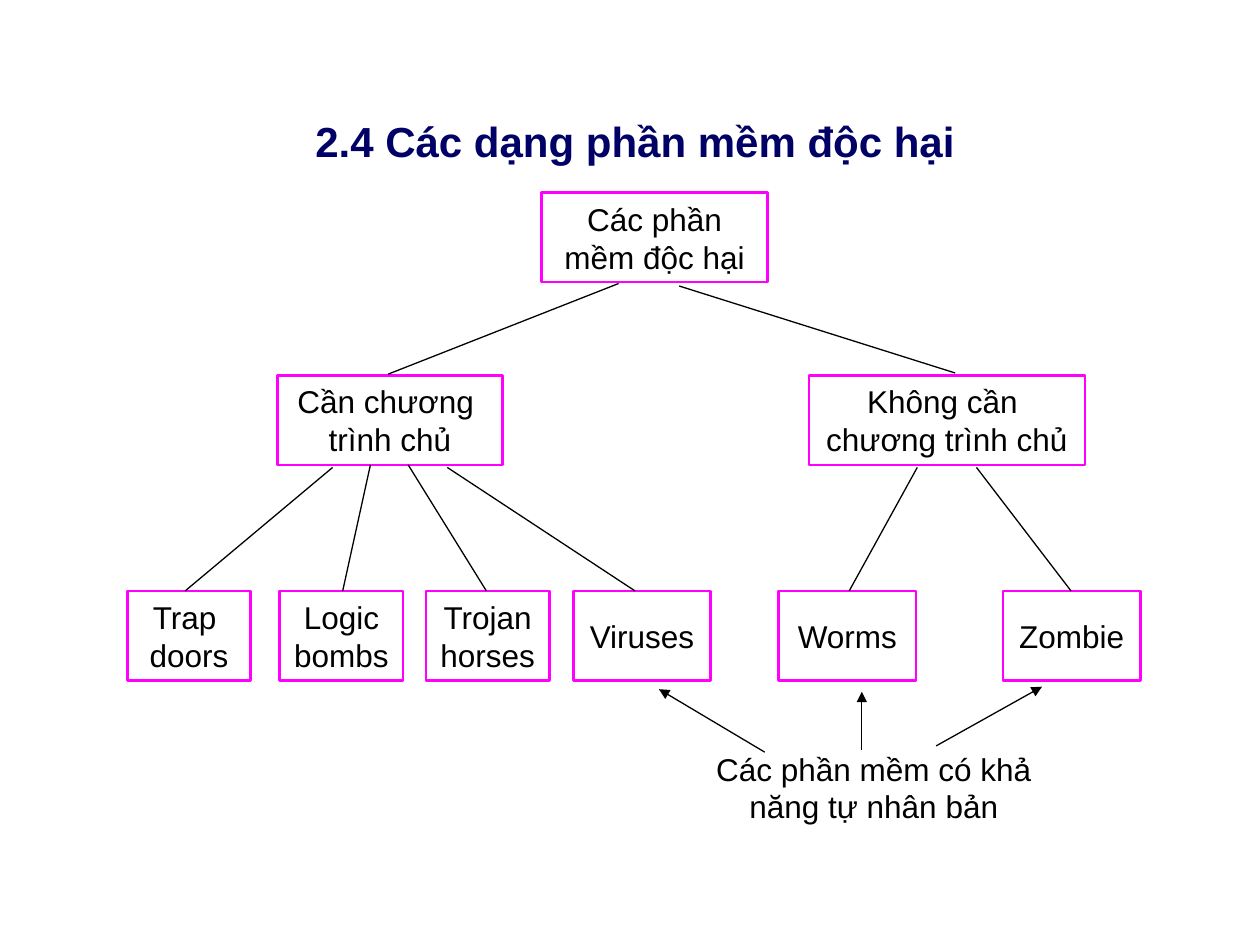
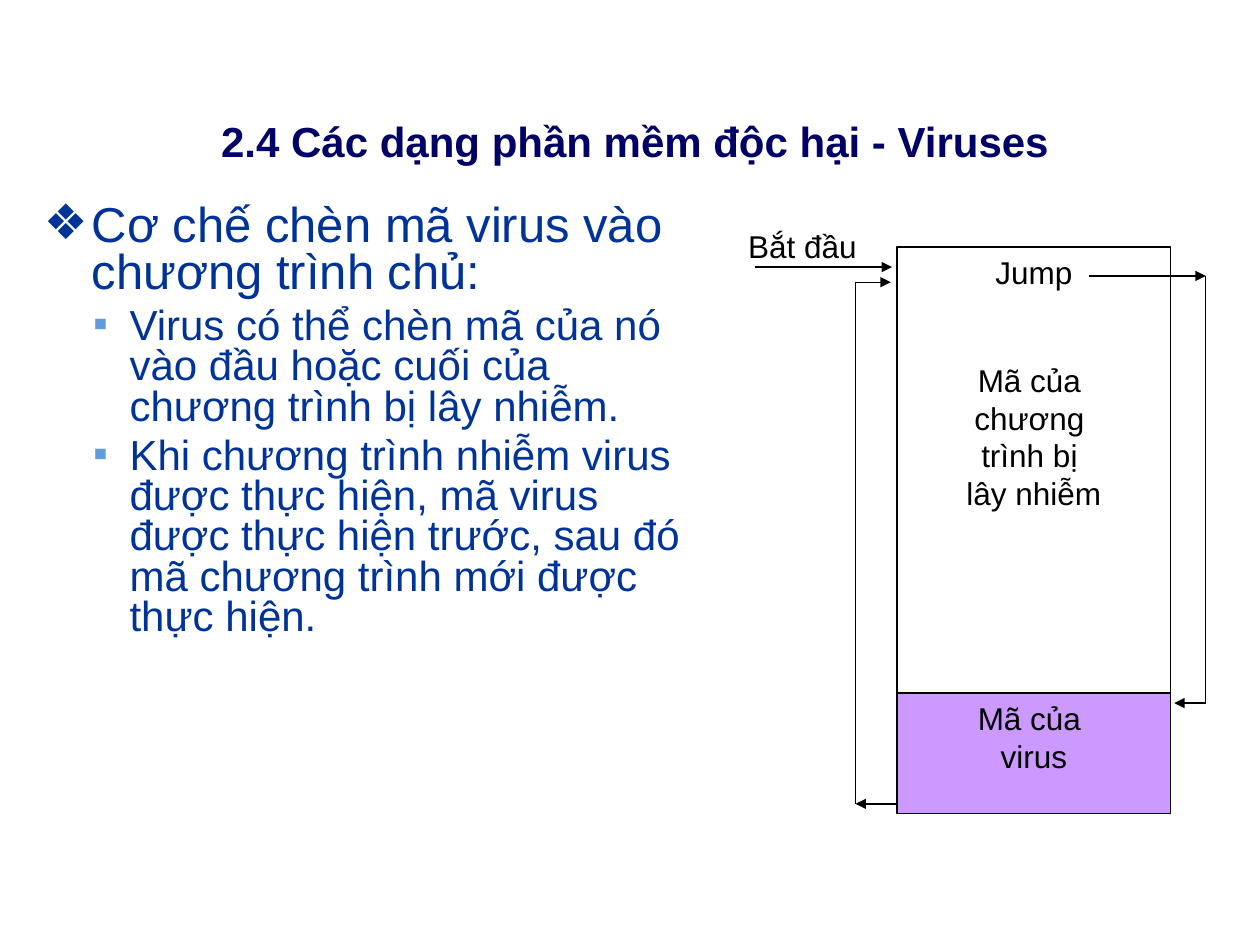
import pptx
import pptx.dml.color
import pptx.enum.shapes
import pptx.enum.text
import pptx.oxml
import pptx.oxml.ns
import pptx.util
from lxml import etree

Inches = pptx.util.Inches
Pt = pptx.util.Pt
ALIGN = pptx.enum.text.PP_ALIGN
ANCHOR = pptx.enum.text.MSO_ANCHOR

FONT = "Arial"
COLORS = {
    "title": "000066",
    "body": "003399",
    "bullet": "5E9CDA",
    "text": "000000",
    "line": "000000",
    "node": "FF00FF",
    "virus": "CC99FF",
}
TITLE = "2.4 Các dạng phần mềm độc hại"


def rgb(name):
    """Return the named colour."""
    return pptx.dml.color.RGBColor.from_string(COLORS[name])


def write(p, text, size=18, color="text", align=ALIGN.CENTER, bold=False):
    """Fill a paragraph and format its runs."""
    p.text = text
    p.alignment = align
    for r in p.runs:
        r.font.name = FONT
        r.font.size = Pt(size)
        r.font.bold = bold
        r.font.color.rgb = rgb(color)


def add_text(s, box, text, anchor=ANCHOR.TOP, **style):
    """Add a wrapping text box and return its text frame."""
    tf = s.shapes.add_textbox(*map(Inches, box)).text_frame
    tf.word_wrap = True
    tf.vertical_anchor = anchor
    write(tf.paragraphs[0], text, **style)
    return tf


def add_slide(prs, title):
    """Add a blank slide with the shared title."""
    s = prs.slides.add_slide(prs.slide_layouts[6])
    add_text(s, (0.25, 0.83, 9.58, 0.57), title, ANCHOR.MIDDLE,
             size=24, color="title", bold=True)
    return s


def add_box(s, box, text, line="line", width=0.75, fill=None, anchor=ANCHOR.TOP):
    """Add an outlined rectangle and return its text frame."""
    sp = s.shapes.add_shape(pptx.enum.shapes.MSO_SHAPE.RECTANGLE, *map(Inches, box))
    sp.shadow.inherit = False
    sp.line.color.rgb = rgb(line)
    sp.line.width = Pt(width)
    if fill:
        sp.fill.solid()
        sp.fill.fore_color.rgb = rgb(fill)
    else:
        sp.fill.background()
    tf = sp.text_frame
    tf.word_wrap = True
    tf.vertical_anchor = anchor
    write(tf.paragraphs[0], text)
    return tf


def add_node(s, left, top, width, text):
    """Add one node of the tree."""
    add_box(s, (left, top, width, 0.71), text, "node", 1.5, anchor=ANCHOR.MIDDLE)


def add_line(s, start, end, arrow=False):
    """Add a straight line, with an arrowhead at its end if asked."""
    cx = s.shapes.add_connector(pptx.enum.shapes.MSO_CONNECTOR.STRAIGHT,
                                *map(Inches, (*start, *end)))
    cx.line.color.rgb = rgb("line")
    cx.line.width = Pt(0.75)
    if arrow:
        ln = cx.line._get_or_add_ln()
        etree.SubElement(ln, pptx.oxml.ns.qn("a:tailEnd"), type="triangle")
    etree.SubElement(cx._element.spPr, pptx.oxml.ns.qn("a:effectLst"))


def set_bullet(p, char, color, left, hang):
    """Give a paragraph a bullet, a hanging indent and tight spacing."""
    p.line_spacing = 0.8
    p.space_before = Pt(5)
    pPr = p._p.get_or_add_pPr()
    pPr.set("marL", str(Inches(left)))
    pPr.set("indent", str(-Inches(hang)))
    qn = pptx.oxml.ns.qn
    clr = etree.SubElement(pPr, qn("a:buClr"))
    etree.SubElement(clr, qn("a:srgbClr"), val=COLORS[color])
    etree.SubElement(pPr, qn("a:buFont"), typeface=FONT)
    etree.SubElement(pPr, qn("a:buChar"), char=char)


def build_tree(prs):
    """Build the slide with the tree of malicious software."""
    s = add_slide(prs, TITLE)
    add_node(s, 4.3, 1.53, 1.79, "Các phần mềm độc hại")
    add_node(s, 2.2, 2.98, 1.79, "Cần chương \ntrình chủ")
    add_node(s, 6.42, 2.98, 2.19, "Không cần \nchương trình chủ")
    add_line(s, (4.91, 2.25), (3.08, 2.97))
    add_line(s, (5.39, 2.27), (7.58, 2.96))

    leaf_top = 4.69
    leaves = [
        ("Trap \ndoors", 1.01, 0.98, (2.64, 3.71), 1.47),
        ("Logic\nbombs", 2.22, 0.98, (2.94, 3.69), 2.72),
        ("Trojan\nhorses", 3.38, 0.98, (3.24, 3.69), 3.86),
        ("Viruses", 4.55, 1.09, (3.55, 3.71), 5.04),
        ("Worms", 6.18, 1.09, (7.28, 3.71), 6.74),
        ("Zombie", 7.96, 1.09, (7.75, 3.71), 8.5),
    ]
    for text, left, width, start, end_x in leaves:
        add_node(s, left, leaf_top, width, text)
        add_line(s, start, (end_x, leaf_top))

    add_text(s, (5.4, 5.9, 3.07, 0.71), "Các phần mềm có khả năng tự nhân bản")
    for start, end in [((6.07, 5.97), (5.23, 5.47)),
                       ((6.84, 5.95), (6.84, 5.49)),
                       ((7.43, 5.92), (8.27, 5.45))]:
        add_line(s, start, end, arrow=True)


def build_viruses(prs):
    """Build the slide on how a virus inserts its code."""
    s = add_slide(prs, TITLE + " - Viruses")
    tf = add_text(s, (0.25, 1.58, 5.25, 5.17),
                  "Cơ chế chèn mã virus vào chương trình chủ:",
                  size=28, color="body", align=ALIGN.LEFT)
    set_bullet(tf.paragraphs[0], "❖", "body", 0.38, 0.38)
    for text in (
        "Virus có thể chèn mã của nó vào đầu hoặc cuối của chương trình bị lây nhiễm.",
        "Khi chương trình nhiễm virus được thực hiện, mã virus được thực hiện trước, "
        "sau đó mã chương trình mới được thực hiện.",
    ):
        p = tf.add_paragraph()
        write(p, text, size=24, color="body", align=ALIGN.LEFT)
        p.level = 1
        set_bullet(p, "▪", "bullet", 0.68, 0.29)

    tf = add_box(s, (7.12, 1.96, 2.17, 3.54), "Jump")
    p = tf.add_paragraph()
    write(p, "Mã của \nchương \ntrình bị \nlây nhiễm")
    p.space_before = Pt(40)
    add_box(s, (7.12, 5.5, 2.17, 0.96), "Mã của \nvirus", fill="virus")

    add_text(s, (5.84, 1.75, 1.1, 0.4), "Bắt đầu", align=ALIGN.LEFT)
    right, left = 9.57, 6.79
    for start, end, arrow in [
        ((5.99, 2.12), (7.08, 2.12), True),
        ((8.64, 2.19), (right, 2.19), True),
        ((right, 2.19), (right, 5.58), False),
        ((right, 5.58), (9.32, 5.58), True),
        ((7.11, 6.38), (left, 6.38), True),
        ((left, 6.38), (left, 2.24), False),
        ((left, 2.24), (7.07, 2.24), True),
    ]:
        add_line(s, start, end, arrow)


def main():
    """Build and save the presentation."""
    prs = pptx.Presentation()
    prs.slide_width = Inches(10)
    prs.slide_height = Inches(7.5)
    build_tree(prs)
    build_viruses(prs)
    prs.save("out.pptx")


if __name__ == "__main__":
    main()
